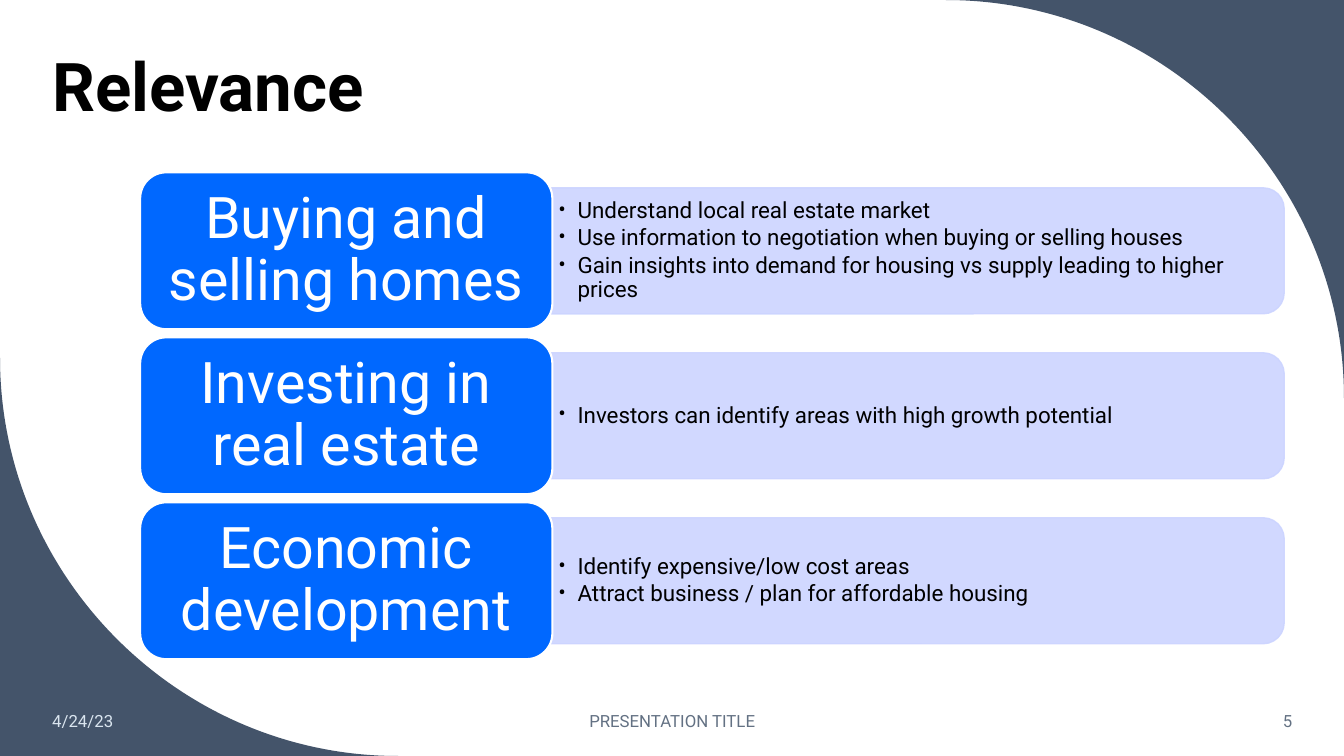
from dataclasses import dataclass

from lxml import etree
from pptx import Presentation
from pptx.dml.color import RGBColor
from pptx.enum.shapes import MSO_SHAPE
from pptx.enum.text import MSO_ANCHOR, PP_ALIGN
from pptx.oxml.ns import qn
from pptx.util import Inches, Pt

ROUNDED = MSO_SHAPE.ROUNDED_RECTANGLE
ROUNDED_TOP = MSO_SHAPE.ROUND_2_SAME_RECTANGLE
MIDDLE, BOTTOM = MSO_ANCHOR.MIDDLE, MSO_ANCHOR.BOTTOM
LEFT, CENTER, RIGHT = PP_ALIGN.LEFT, PP_ALIGN.CENTER, PP_ALIGN.RIGHT


@dataclass(frozen=True)
class Theme:
    font: str = "Roboto"
    corner: str = "44546A"
    label: str = "0068FF"
    bar: str = "CCD4FF"
    bar_alpha: int = 90000
    white: str = "FFFFFF"
    black: str = "000000"
    date: str = "DAE5EF"
    footer: str = "637183"
    title_size: int = 48
    label_size: int = 41
    bullet_size: int = 16
    footer_size: int = 12


THEME = Theme()
WIDTH, HEIGHT = 40 / 3, 7.5
DEFAULT_INSETS = (0.1, 0.05)
ARC_PULL = 0.55  # share of the way to the corner that rounds a quarter circle

TOPICS = [
    ("Buying and selling homes", [
        "Understand local real estate market",
        "Use information to negotiation when buying or selling houses",
        "Gain insights into demand for housing vs supply leading to higher prices",
    ]),
    ("Investing in real estate", [
        "Investors can identify areas with high growth potential",
    ]),
    ("Economic development", [
        "Identify expensive/low cost areas",
        "Attract business / plan for affordable housing",
    ]),
]


def color(value):
    return RGBColor.from_string(value)


def prepare_frame(shape, anchor, insets):
    frame = shape.text_frame
    frame.word_wrap = True
    frame.vertical_anchor = anchor
    frame.margin_left = frame.margin_right = Inches(insets[0])
    frame.margin_top = frame.margin_bottom = Inches(insets[1])
    return frame


def add_text(paragraph, text, size, text_color, align=LEFT, bold=False, spacing=1.0):
    paragraph.alignment = align
    paragraph.line_spacing = spacing
    run = paragraph.add_run()
    run.text = text
    run.font.name = THEME.font
    run.font.size = Pt(size)
    run.font.bold = bold
    run.font.color.rgb = color(text_color)


def add_text_box(slide, box, anchor, insets=DEFAULT_INSETS):
    shape = slide.shapes.add_textbox(*map(Inches, box))
    return prepare_frame(shape, anchor, insets)


def add_filled_shape(slide, kind, box, fill, line, line_width):
    shape = slide.shapes.add_shape(kind, *map(Inches, box))
    shape.shadow.inherit = False
    shape.fill.solid()
    shape.fill.fore_color.rgb = color(fill)
    shape.line.color.rgb = color(line)
    shape.line.width = Pt(line_width)
    return shape


def set_bullet(paragraph, indent):
    paragraph.level = 1
    properties = paragraph._p.get_or_add_pPr()
    properties.set("marL", str(Inches(indent)))
    properties.set("indent", str(-Inches(indent)))
    etree.SubElement(properties, qn("a:buFont")).set("typeface", THEME.font)
    etree.SubElement(properties, qn("a:buChar")).set("char", "•")


def add_corner(slide, corner, start, end):
    """Fill the space between a slide corner and a quarter circle."""
    corner, start, end = [tuple(map(Inches, point)) for point in (corner, start, end)]
    builder = slide.shapes.build_freeform(*corner)
    builder.add_line_segments([start, end], close=True)
    shape = builder.convert_to_shape()
    shape.shadow.inherit = False
    shape.fill.solid()
    shape.fill.fore_color.rgb = color(THEME.corner)
    shape.line.fill.background()

    # Bend the segment from start to end
    straight = list(shape._element.spPr.iter(qn("a:lnTo")))[1]
    curve = etree.Element(qn("a:cubicBezTo"))
    controls = [[a + ARC_PULL * (c - a) for a, c in zip(point, corner)]
                for point in (start, end)]
    for x, y in (*controls, end):
        point = etree.SubElement(curve, qn("a:pt"))
        point.set("x", str(round(x - shape.left)))
        point.set("y", str(round(y - shape.top)))
    straight.getparent().replace(straight, curve)


def add_corners(slide, radius):
    add_corner(slide, (WIDTH, 0), (WIDTH - radius, 0), (WIDTH, radius))
    add_corner(slide, (0, HEIGHT), (radius, HEIGHT), (0, HEIGHT - radius))


def add_title(slide, box, text):
    frame = add_text_box(slide, box, BOTTOM)
    add_text(frame.paragraphs[0], text, THEME.title_size, THEME.black,
             bold=True, spacing=0.9)


def add_bar(slide, box):
    """Turn a shape with two round corners so that they face right."""
    left, top, width, height = box
    upright = (left + (width - height) / 2, top + (height - width) / 2, height, width)
    shape = add_filled_shape(slide, ROUNDED_TOP, upright, THEME.bar, THEME.bar, 1)
    shape.rotation = 90
    for tint in shape._element.spPr.iter(qn("a:srgbClr")):
        etree.SubElement(tint, qn("a:alpha")).set("val", str(THEME.bar_alpha))


def add_topic(slide, box, label, bullets):
    left, top, width, height = box
    label_width, bar_height, bar_inset, overlap = 4.09, 1.25, 0.06, 0.01
    bar_left = left + label_width - overlap
    bar_top = top + (height - bar_height) / 2
    bar_width = left + width - bar_left

    # Bar with bullets
    add_bar(slide, (bar_left, bar_top, bar_width, bar_height))
    bullet_box = (bar_left, bar_top + bar_inset,
                  bar_width - bar_inset, bar_height - 2 * bar_inset)
    frame = add_text_box(slide, bullet_box, MIDDLE, (0.07, 0.03))
    for index, bullet in enumerate(bullets):
        paragraph = frame.add_paragraph() if index else frame.paragraphs[0]
        paragraph.space_after = Pt(2.4)
        add_text(paragraph, bullet, THEME.bullet_size, THEME.black, spacing=0.9)
        set_bullet(paragraph, 0.19)

    # Label
    shape = add_filled_shape(slide, ROUNDED, (left, top, label_width, height),
                             THEME.label, THEME.white, 1.5)
    frame = prepare_frame(shape, MIDDLE, (0.17, 0.09))
    add_text(frame.paragraphs[0], label, THEME.label_size, THEME.white, CENTER, spacing=0.9)


def add_topics(slide, box, topics, gap):
    left, top, width, height = box
    row_height = (height - gap * (len(topics) - 1)) / len(topics)
    for index, (label, bullets) in enumerate(topics):
        row_top = top + index * (row_height + gap)
        add_topic(slide, (left, row_top, width, row_height), label, bullets)


def add_footer(slide, box):
    left, top, width, height = box
    side, middle = 1.84, 4.5
    items = [
        (left, side, "4/24/23", THEME.date, LEFT),
        (left + (width - middle) / 2, middle, "PRESENTATION TITLE", THEME.footer, CENTER),
        (left + width - side, side, "5", THEME.footer, RIGHT),
    ]
    for item_left, item_width, text, text_color, align in items:
        frame = add_text_box(slide, (item_left, top, item_width, height), MIDDLE)
        add_text(frame.paragraphs[0], text, THEME.footer_size, text_color, align)


def main():
    presentation = Presentation()
    presentation.slide_width = Inches(WIDTH)
    presentation.slide_height = Inches(HEIGHT)
    slide = presentation.slides.add_slide(presentation.slide_layouts[6])
    add_corners(slide, 3.95)
    add_title(slide, (0.42, 0.42, 12.5, 0.88), "Relevance")
    add_topics(slide, (1.39, 1.71, 11.35, 4.83), TOPICS, 0.08)
    add_footer(slide, (0.42, 6.95, 12.5, 0.4))
    presentation.save("out.pptx")


if __name__ == "__main__":
    main()
